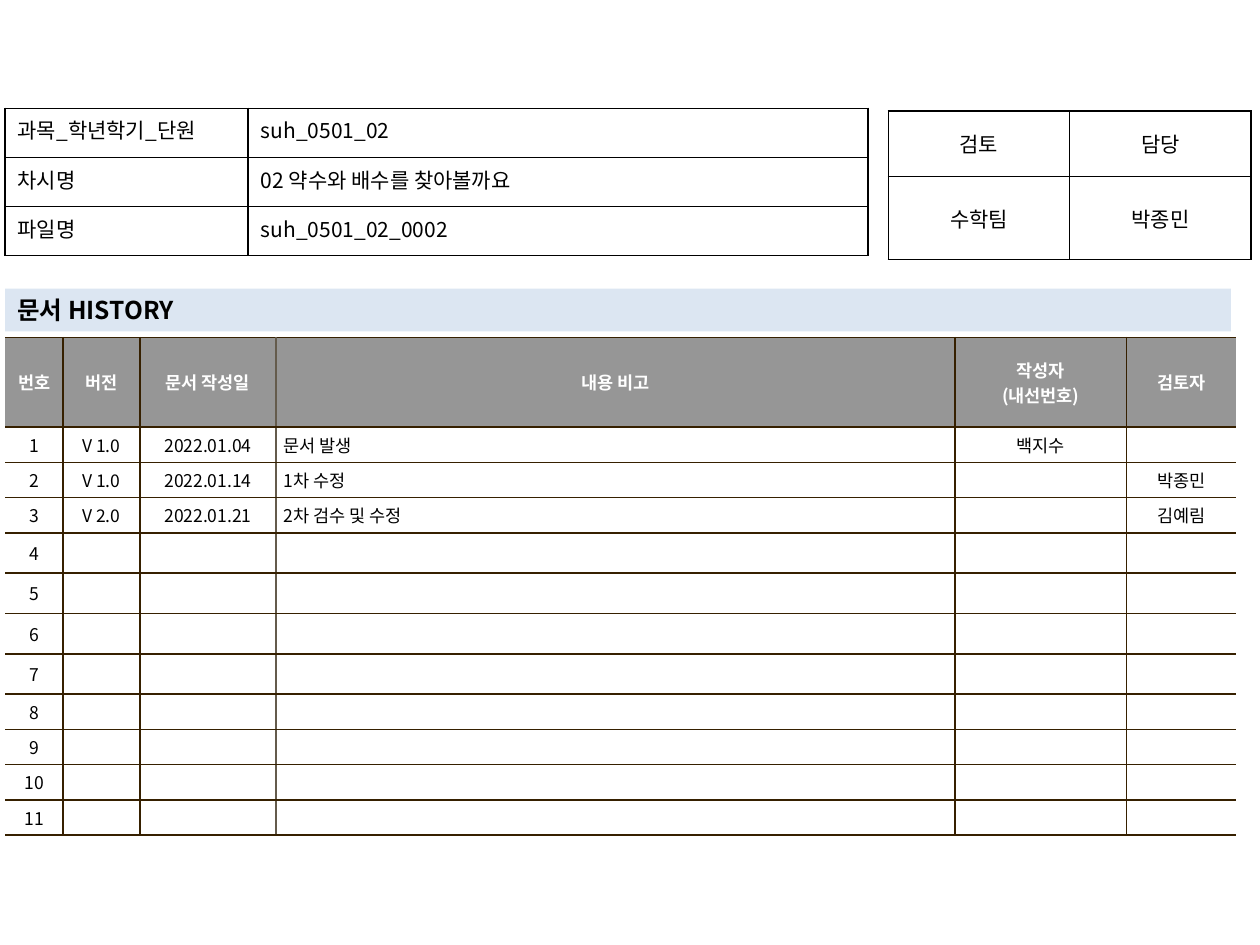
from lxml.etree import SubElement
from pptx import Presentation
from pptx.dml.color import RGBColor as RGB
from pptx.enum.shapes import MSO_SHAPE as SHAPE
from pptx.enum.text import MSO_ANCHOR as ANCHOR, PP_ALIGN as ALIGN
from pptx.oxml import parse_xml
from pptx.oxml.ns import nsdecls, qn
from pptx.util import Inches, Pt

FONT = "Noto Sans CJK KR"
COLORS = {"black": "000000", "white": "FFFFFF", "header": "969696",
          "title": "DCE6F2", "grid": "362000", "divider": "645B4C"}
NO_STYLE = "{2D5ABB26-0587-4C30-8999-92F81FD0307C}"
C, J, L = ALIGN.CENTER, ALIGN.JUSTIFY, ALIGN.LEFT


def write(tf, text, size, color="black", bold=False, align=L):
    tf.text = text
    for p in tf.paragraphs:
        p.alignment = align
        p.font.name, p.font.size, p.font.bold = FONT, Pt(size), bold
        p.font.color.rgb = RGB.from_string(COLORS[color])
        SubElement(p._p.pPr.find(qn("a:defRPr")), qn("a:ea"), typeface=FONT)


def add_grid(left, top, widths, heights, margins, anchor, line, fill=None):
    frame = s.shapes.add_table(len(heights), len(widths), Inches(left), Inches(top),
                               Inches(sum(widths)), Inches(sum(heights)))
    table = frame.table
    table.first_row = table.horz_banding = False
    table._tbl.tblPr.find(qn("a:tableStyleId")).text = NO_STYLE
    for column, width in zip(table.columns, widths):
        column.width = Inches(width)
    for row, height in zip(table.rows, heights):
        row.height = Inches(height)
    for cell in table.iter_cells():
        cell.margin_left = cell.margin_right = Inches(margins[0])
        cell.margin_top = cell.margin_bottom = Inches(margins[1])
        cell.vertical_anchor = anchor
        if fill:
            cell.fill.solid()
            cell.fill.fore_color.rgb = RGB.from_string(COLORS[fill])
        else:
            cell.fill.background()
        for i, side in enumerate("LRTB"):
            cell._tc.tcPr.insert(i, parse_xml(
                f'<a:ln{side} {nsdecls("a")} w="12700"><a:solidFill>'
                f'<a:srgbClr val="{COLORS[line]}"/></a:solidFill></a:ln{side}>'))
    return table


prs = Presentation()
prs.slide_width, prs.slide_height = Inches(10), Inches(7.5)
s = prs.slides.add_slide(prs.slide_layouts[6])

history = [["번호", "버전", "문서 작성일", "내용 비고", "작성자\n(내선번호)", "검토자"],
           ["1", "V 1.0", "2022.01.04", "문서 발생", "백지수", ""],
           ["2", "V 1.0", "2022.01.14", "1차 수정", "", "박종민"],
           ["3", "V 2.0", "2022.01.21", "2차 검수 및 수정", "", "김예림"]]
history += [[str(n)] + [""] * 5 for n in range(4, 12)]
table = add_grid(0.04, 2.68, [0.46, 0.61, 1.08, 5.39, 1.36, 0.87],
                 [0.71] + [0.28] * 3 + [0.32] * 4 + [0.28] * 4,
                 (0.06, 0.04), ANCHOR.MIDDLE, "grid", "white")
for i, row in enumerate(history):
    for j, text in enumerate(row):
        cell = table.cell(i, j)
        if i == 0:
            cell.fill.fore_color.rgb = RGB.from_string(COLORS["header"])
            write(cell.text_frame, text, 10, "white", True, C)
        else:
            write(cell.text_frame, text, 10, align=L if j == 3 else C)
    for j, side in ((2, "R"), (3, "L")):
        border = table.cell(i, j)._tc.tcPr.find(qn(f"a:ln{side}"))
        border.find(".//" + qn("a:srgbClr")).set("val", COLORS["divider"])
    for j, side in ((0, "L"), (5, "R")):
        border = table.cell(i, j)._tc.tcPr.find(qn(f"a:ln{side}"))
        border.remove(border[0])
        SubElement(border, qn("a:noFill"))

review = [["검토", "담당"], ["수학팀", "박종민"]]
table = add_grid(7.05, 0.88, [1.44] * 2, [0.52, 0.66], (0.1, 0.05), ANCHOR.MIDDLE, "black")
for i, row in enumerate(review):
    for j, text in enumerate(row):
        write(table.cell(i, j).text_frame, text, 12, align=C)

sp = s.shapes.add_shape(SHAPE.RECTANGLE, Inches(0.04), Inches(2.29), Inches(9.73), Inches(0.34))
sp.shadow.inherit = False
sp.fill.solid()
sp.fill.fore_color.rgb = RGB.from_string(COLORS["title"])
sp.line.fill.background()
write(sp.text_frame, "문서 HISTORY", 14, bold=True)

lesson = [["과목_학년학기_단원", "suh_0501_02"],
          ["차시명", "02 약수와 배수를 찾아볼까요"],
          ["파일명", "suh_0501_02_0002"]]
table = add_grid(0.04, 0.86, [1.93, 4.92], [0.39] * 3, (0.1, 0.05), ANCHOR.TOP, "black")
for i, row in enumerate(lesson):
    for j, text in enumerate(row):
        write(table.cell(i, j).text_frame, text, 12, align=(J, L)[j])

prs.save("out.pptx")
